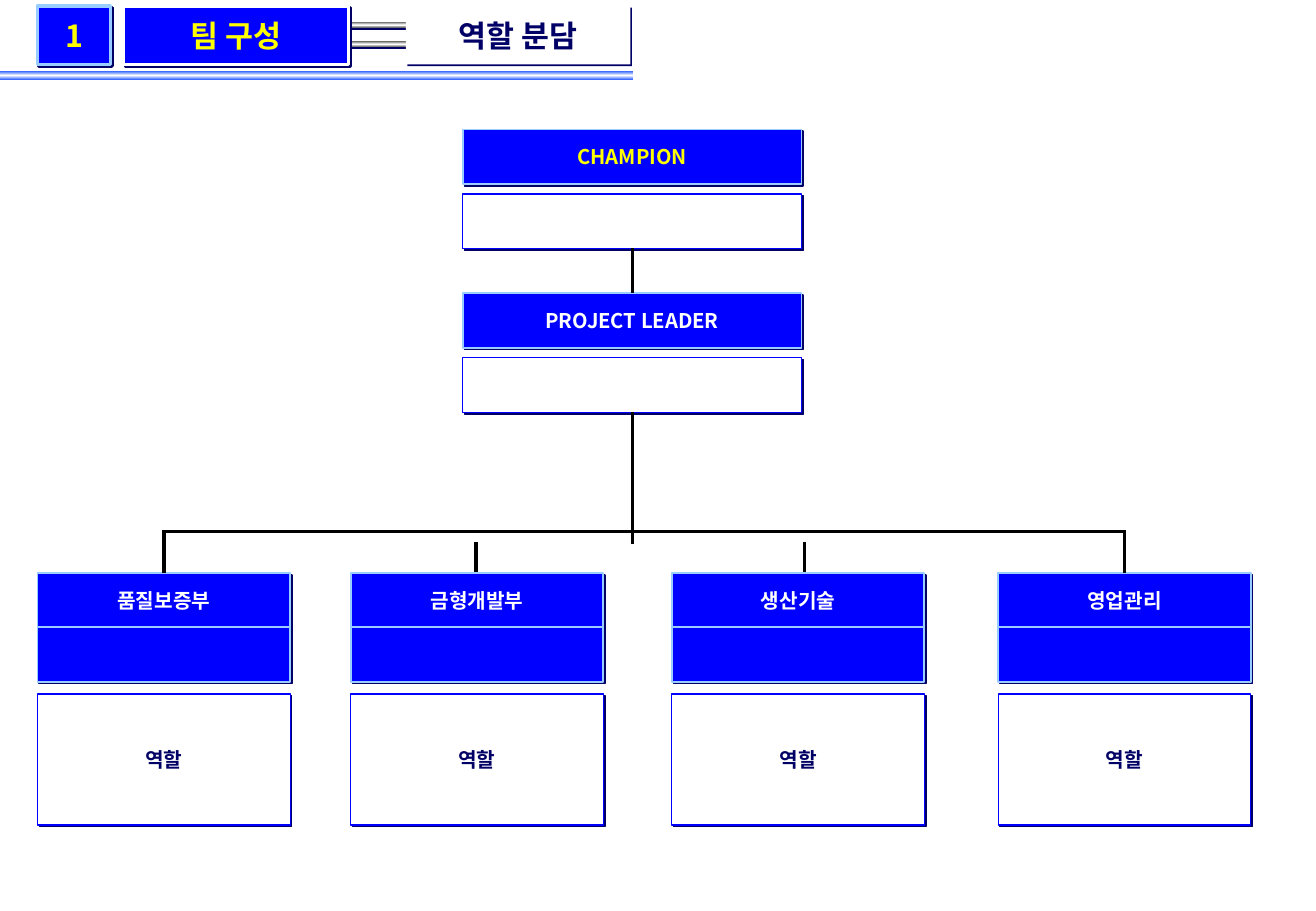
from lxml.etree import SubElement
from pptx import Presentation
from pptx.dml.color import RGBColor
from pptx.enum.shapes import MSO_CONNECTOR as Link, MSO_SHAPE as Form
from pptx.enum.text import MSO_ANCHOR as Anchor, MSO_AUTO_SIZE as Fit, PP_ALIGN as Align
from pptx.oxml.ns import qn
from pptx.util import Pt

BLUE, NAVY, SKY = "0000FF", "000066", "99CCFF"
WHITE, YELLOW, BLACK = "FFFFFF", "FFFF00", "000000"


def rgb(code):
    return RGBColor.from_string(code)


class Team:
    """Draws the team structure on one slide in a shared style."""

    font = "Noto Sans CJK KR"

    def __init__(self, deck):
        self.slide = deck.slides.add_slide(deck.slide_layouts[5])
        self.shapes = self.slide.shapes

    def shade(self, shape):
        shape.shadow.inherit = False
        effects = shape.element.spPr.find(qn("a:effectLst"))
        outer = SubElement(effects, qn("a:outerShdw"), dist=str(Pt(1.4)),
                           dir="2700000", algn="ctr", rotWithShape="0")
        SubElement(outer, qn("a:srgbClr"), val=NAVY)

    def text(self, shape, text, size, color):
        frame = shape.text_frame
        frame.text = text
        frame.word_wrap = False
        frame.auto_size = Fit.NONE
        frame.vertical_anchor = Anchor.MIDDLE
        para = frame.paragraphs[0]
        para.alignment = Align.CENTER
        for run in para.runs:
            run.font.size, run.font.bold = Pt(size), True
            run.font.color.rgb = rgb(color)
            run.font.name = self.font
            SubElement(run.font._element, qn("a:ea"), typeface=self.font)

    def style(self, shape, fill, edge=None, width=1):
        shape.fill.solid()
        shape.fill.fore_color.rgb = rgb(fill)
        if edge:
            shape.line.color.rgb = rgb(edge)
            shape.line.width = Pt(width)
        else:
            shape.line.fill.background()
        self.shade(shape)

    def rect(self, x, y, w, h):
        return self.shapes.add_shape(Form.RECTANGLE, Pt(x), Pt(y), Pt(w), Pt(h))

    def box(self, x, y, w, h, fill, edge=None, width=1, text="", size=12, color=WHITE):
        shape = self.rect(x, y, w, h)
        self.style(shape, fill, edge, width)
        if text:
            self.text(shape, text, size, color)

    def head(self, x, y, w, h, text="", color=WHITE):
        self.box(x, y, w, h, BLUE, SKY, 1, text, color=color)

    def field(self, x, y, w, h, text=""):
        self.box(x, y, w, h, WHITE, BLUE, 0.75, text, color=NAVY)

    def title(self, x, y, w, h, text):
        shape = self.shapes.title
        shape.left, shape.top, shape.width, shape.height = Pt(x), Pt(y), Pt(w), Pt(h)
        self.style(shape, BLUE, WHITE, 2)
        self.text(shape, text, 18, YELLOW)
        self.shapes.element.append(shape.element)

    def bar(self, x, y, w, h, color, shade=False):
        shape = self.rect(x, y, w, h)
        shape.line.fill.background()
        shape.shadow.inherit = False
        shape.fill.gradient()
        shape.fill.gradient_angle = 270
        stops = shape.element.spPr.find(qn("a:gradFill")).find(qn("a:gsLst"))
        stops.clear()
        for pos, code in ((0, color), (50000, WHITE), (100000, color)):
            stop = SubElement(stops, qn("a:gs"), pos=str(pos))
            SubElement(stop, qn("a:srgbClr"), val=code)
        if shade:
            self.shade(shape)

    def ink(self, shape):
        shape.line.color.rgb = rgb(BLACK)
        shape.line.width = Pt(2)
        SubElement(shape.element.spPr.find(qn("a:ln")), qn("a:miter"), lim="800000")

    def drop(self, x, top, end):
        line = self.shapes.add_connector(Link.STRAIGHT, Pt(x), Pt(top), Pt(x), Pt(end))
        self.ink(line)
        SubElement(line.element.spPr, qn("a:effectLst"))

    def route(self, points):
        first, *rest = [(Pt(x), Pt(y)) for x, y in points]
        pen = self.shapes.build_freeform(*first)
        pen.add_line_segments(rest, close=False)
        shape = pen.convert_to_shape()
        shape.fill.background()
        shape.shadow.inherit = False
        self.ink(shape)


def main():
    deck = Presentation()
    deck.slide_width = Pt(780.48)
    deck.slide_height = Pt(540)
    team = Team(deck)

    team.bar(0, 42.3, 375.3, 5, "3366FF")
    for y in (24.4, 13):
        team.bar(201.6, y, 55.4, 3.6, "5C5C5C", shade=True)
    team.box(240.7, 3.6, 133.2, 34.6, WHITE, text="역할 분담", size=18, color=NAVY)
    team.title(73.4, 3.6, 133.2, 34.6, "팀 구성")
    team.box(22.3, 3.6, 43.2, 34.6, BLUE, SKY, 2, "1", 18, YELLOW)

    for x in (282.4, 477):
        team.drop(x, 321.1, 344.2)

    left, wide, high = 274.5, 200.9, 32.4
    for y, role, color in ((76.8, "CHAMPION", YELLOW), (173.8, "PROJECT LEADER", WHITE)):
        team.head(left, y, wide, high, role, color)
        team.field(left, y + 38.2, wide, high)

    units = ((22.3, "품질보증부"), (208, "금형개발부"), (398.4, "생산기술"), (592, "영업관리"))
    for x, unit in units:
        team.head(x, 339.8, 149.8, high, unit)
        team.field(x, 411.3, 149.8, 77.8, "역할")
        team.head(x, 371.8, 149.8, high)

    team.drop(375.1, 147, 173.5)
    team.route([(97.2, 339.8), (97.2, 315), (667, 315), (667, 339.8)])
    team.drop(375.1, 244.1, 322.6)
    deck.save("out.pptx")


if __name__ == "__main__":
    main()
